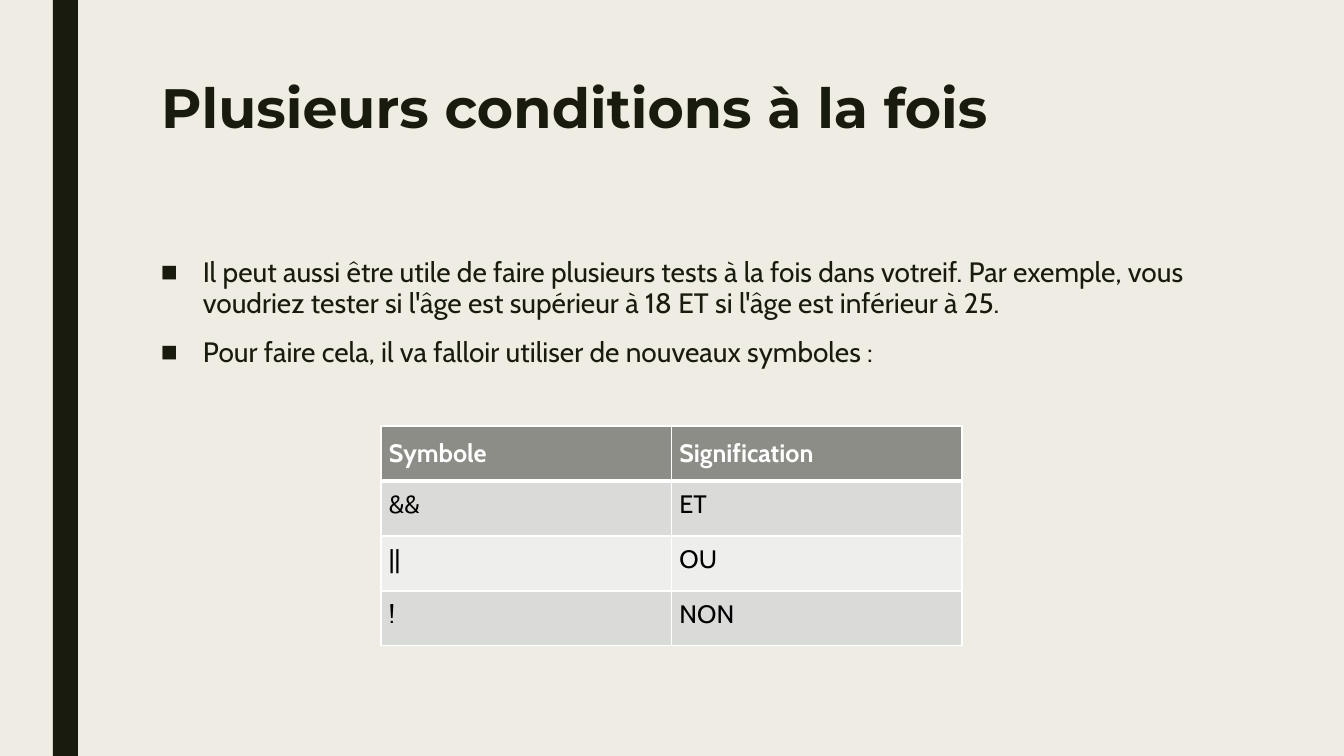
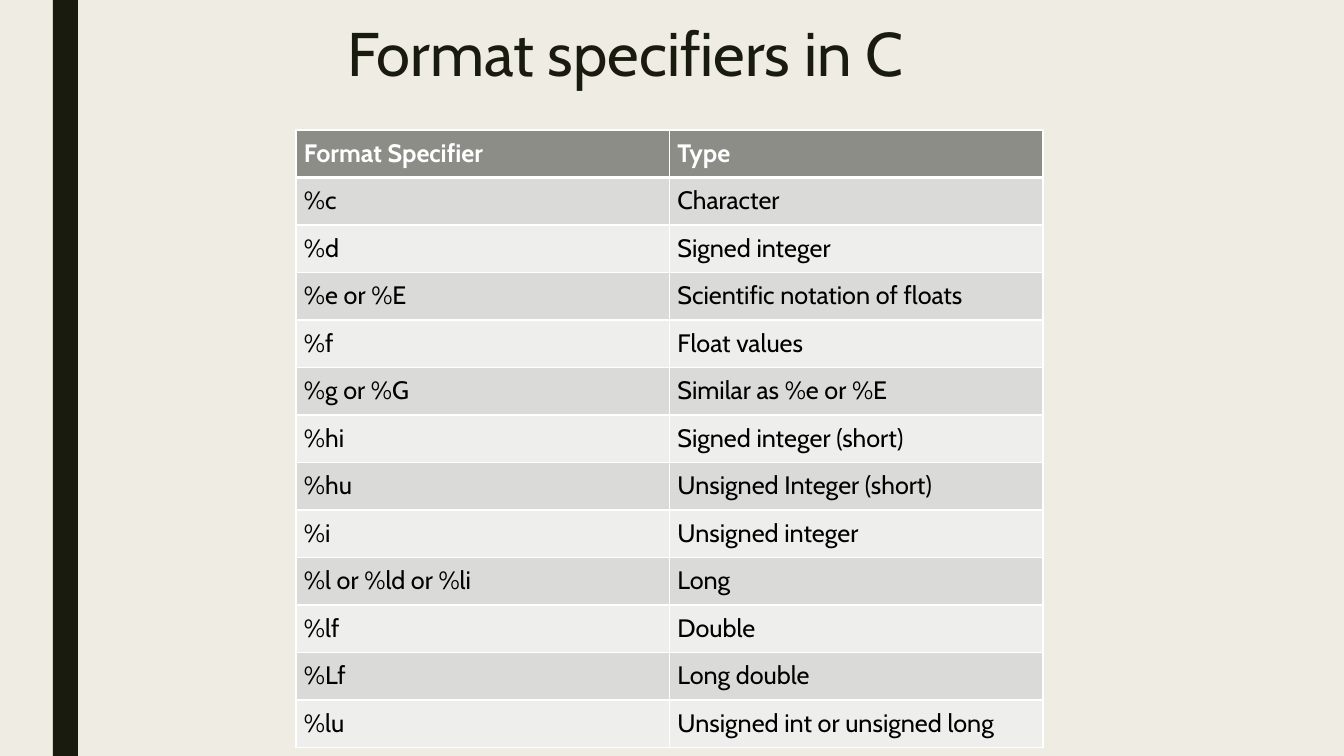
from dataclasses import dataclass

from lxml import etree
from pptx import Presentation
from pptx import util as u
from pptx.dml.color import RGBColor
from pptx.enum import shapes, text
from pptx.oxml import ns

EMU_PER_INCH = 914400
PX_PER_INCH = 100.8
SLIDE_W, SLIDE_H = 1344, 756


@dataclass(frozen=True)
class Theme:
    paper: str = "EFEDE3"
    ink: str = "191B0E"
    white: str = "FFFFFF"
    black: str = "000000"
    header: str = "8C8D86"
    bands: tuple = ("DADBD9", "EEEEED")
    body_font: str = "Cabin"
    display_font: str = "Montserrat"
    display_size: float = 39.6
    title_size: float = 44
    body_size: float = 20
    table_size: float = 18
    rule: float = 1
    header_rule: float = 3


THEME = Theme()

SYMBOLS = [
    ("Symbole", "Signification"),
    ("&&", "ET"),
    ("||", "OU"),
    ("!", "NON"),
]

SPECIFIERS = [
    ("Format Specifier", "Type"),
    ("%c", "Character"),
    ("%d", "Signed integer"),
    ("%e or %E", "Scientific notation of floats"),
    ("%f", "Float values"),
    ("%g or %G", "Similar as %e or %E"),
    ("%hi", "Signed integer (short)"),
    ("%hu", "Unsigned Integer (short)"),
    ("%i", "Unsigned integer"),
    ("%l or %ld or %li", "Long"),
    ("%lf", "Double"),
    ("%Lf", "Long double"),
    ("%lu", "Unsigned int or unsigned long"),
]

INTRO = [
    "Il peut aussi être utile de faire plusieurs tests à la fois dans votreif. "
    "Par exemple, vous voudriez tester si l'âge est supérieur à 18 ET si l'âge "
    "est inférieur à 25.",
    "Pour faire cela, il va falloir utiliser de nouveaux symboles :",
]


def px(n):
    return u.Emu(round(n * EMU_PER_INCH / PX_PER_INCH))


def rgb(value):
    return RGBColor.from_string(value)


def sub(parent, tag, **attrs):
    return etree.SubElement(parent, ns.qn(tag), attrs)


def write(p, content, size, font=THEME.body_font, color=THEME.ink, bold=False,
          line=None, before=None, after=None):
    """Put one formatted run in a paragraph."""
    p.alignment = text.PP_ALIGN.LEFT
    if line is not None:
        p.line_spacing = line
    if before is not None:
        p.space_before = u.Pt(before)
    if after is not None:
        p.space_after = u.Pt(after)
    r = p.add_run()
    r.text = content
    r.font.size, r.font.name, r.font.bold = u.Pt(size), font, bold
    r.font.color.rgb = rgb(color)


def add_bullet(p, indent):
    pPr = p._p.get_or_add_pPr()
    pPr.set("marL", str(px(indent)))
    pPr.set("indent", str(-px(indent)))
    sub(pPr, "a:buFont", typeface="Arial")
    sub(pPr, "a:buChar", char="■")


def set_borders(cell, top, bottom):
    tcPr = cell._tc.get_or_add_tcPr()
    sides = {"L": THEME.rule, "R": THEME.rule, "T": top, "B": bottom}
    for side, width in sides.items():
        ln = sub(tcPr, f"a:ln{side}", w=str(u.Pt(width)))
        sub(sub(ln, "a:solidFill"), "a:srgbClr", val=THEME.white)


# Background and side band shared by every slide
def dress_master(prs, s):
    master = prs.slide_master
    fill = master.background.fill
    fill.solid()
    fill.fore_color.rgb = rgb(THEME.paper)
    band = s.shapes.add_shape(shapes.MSO_SHAPE.RECTANGLE,
                              px(53), 0, px(25), px(SLIDE_H))
    band.shadow.inherit = False
    band.fill.solid()
    band.fill.fore_color.rgb = rgb(THEME.ink)
    band.line.fill.background()
    master.shapes.element.insert(2, band.element)


# Title
def place_title(s, box, content, **fmt):
    sp = s.shapes.title
    sp.left, sp.top, sp.width, sp.height = map(px, box)
    tf = sp.text_frame
    tf.auto_size = text.MSO_AUTO_SIZE.NONE
    tf.vertical_anchor = text.MSO_ANCHOR.TOP
    write(tf.paragraphs[0], content, line=0.89, **fmt)


# Bulleted text
def place_bullets(s, box, items):
    tf = s.shapes.add_textbox(*map(px, box)).text_frame
    tf.word_wrap = True
    for i, item in enumerate(items):
        p = tf.add_paragraph() if i else tf.paragraphs[0]
        write(p, item, THEME.body_size, line=0.94, before=10, after=2)
        add_bullet(p, 42)


# Banded table with equal columns and rows
def place_table(s, box, rows):
    x, y, w, h = box
    n_rows, n_cols = len(rows), len(rows[0])
    table = s.shapes.add_table(n_rows, n_cols, *map(px, box)).table
    table.first_row = table.horz_banding = False
    for col in table.columns:
        col.width = px(w / n_cols)
    for i, values in enumerate(rows):
        table.rows[i].height = px(h / n_rows)
        is_header = i == 0
        for j, value in enumerate(values):
            cell = table.cell(i, j)
            set_borders(cell,
                        top=THEME.header_rule if i == 1 else THEME.rule,
                        bottom=THEME.header_rule if is_header else THEME.rule)
            cell.fill.solid()
            cell.fill.fore_color.rgb = rgb(
                THEME.header if is_header else THEME.bands[(i - 1) % 2])
            cell.margin_left = cell.margin_right = px(8)
            cell.margin_top = cell.margin_bottom = px(8)
            cell.vertical_anchor = (text.MSO_ANCHOR.MIDDLE if is_header
                                    else text.MSO_ANCHOR.TOP)
            write(cell.text_frame.paragraphs[0], value, THEME.table_size,
                  color=THEME.white if is_header else THEME.black,
                  bold=is_header)


def conditions_slide(s):
    place_title(s, (151, 76, 1058, 163), "Plusieurs conditions à la fois",
                size=THEME.display_size, font=THEME.display_font, bold=True)
    place_bullets(s, (151, 252, 1058, 395), INTRO)
    place_table(s, (381, 426, 581, 220), SYMBOLS)


def specifiers_slide(s):
    place_title(s, (337, 19, 1058, 163), "Format specifiers in C",
                size=THEME.title_size)
    place_table(s, (296, 130, 747, 618), SPECIFIERS)


def main():
    prs = Presentation()
    prs.slide_width, prs.slide_height = px(SLIDE_W), px(SLIDE_H)
    title_only = prs.slide_layouts.get_by_name("Title Only")
    for i, build in enumerate((conditions_slide, specifiers_slide)):
        s = prs.slides.add_slide(title_only)
        if i == 0:
            dress_master(prs, s)
        build(s)
    prs.save("out.pptx")


if __name__ == "__main__":
    main()
